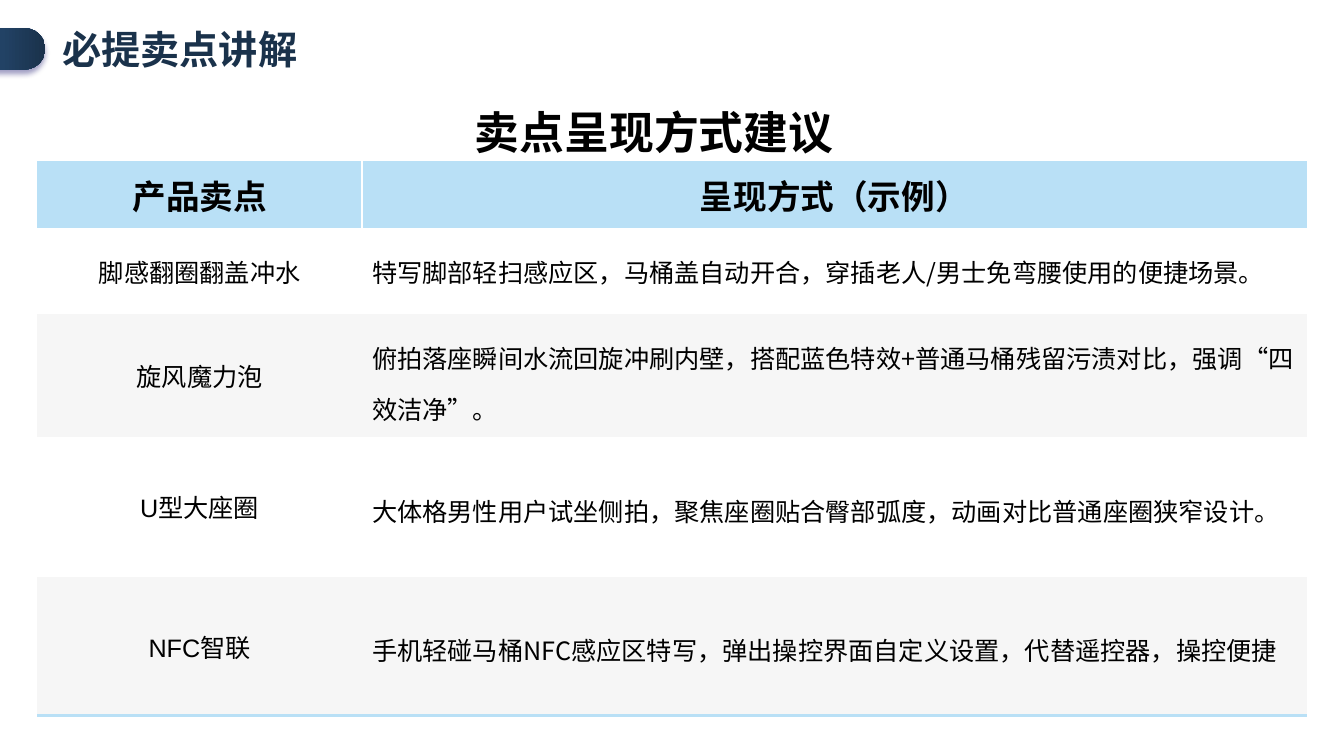
from dataclasses import dataclass

from lxml import etree
from pptx import Presentation
from pptx.dml.color import RGBColor
from pptx.enum.shapes import MSO_SHAPE
from pptx.enum.text import MSO_ANCHOR, MSO_AUTO_SIZE, PP_ALIGN
from pptx.oxml import parse_xml
from pptx.oxml.ns import nsdecls, qn
from pptx.util import Inches, Pt

LEFT, CENTER = PP_ALIGN.LEFT, PP_ALIGN.CENTER
MIDDLE = MSO_ANCHOR.MIDDLE
GROW = MSO_AUTO_SIZE.SHAPE_TO_FIT_TEXT
PILL = MSO_SHAPE.ROUNDED_RECTANGLE
PLAIN = "{2D5ABB26-0587-4C30-8999-92F81FD0307C}"  # table style without grid


@dataclass(frozen=True)
class Theme:
    sans: str = "Arial"
    han: str = "Noto Sans CJK SC"
    black: str = "000000"
    white: str = "FFFFFF"
    navy: str = "1A324B"
    sky: str = "B9E0F6"
    gray: str = "F6F6F6"
    glow: str = "120D69"
    fade: tuple = ((19, "29517E"), (49, "224265"), (100, "1A324B"))
    title: int = 32
    topic: int = 28
    head: int = 24
    body: int = 18


def write(frame, text, *, size, color, font, han, bold=False, align=LEFT, line=None):
    """Put one formatted paragraph into a text frame."""
    para = frame.paragraphs[0]
    para.alignment = align
    if line:
        para.line_spacing = line
    run = para.add_run()
    run.text = text
    face = run.font
    face.size, face.bold, face.name = Pt(size), bold, font
    face.color.rgb = RGBColor.from_string(color)
    etree.SubElement(run._r.get_or_add_rPr(), qn("a:ea")).set("typeface", han)


class Deck:
    def __init__(self, theme):
        self.theme = theme
        self.prs = Presentation()
        self.prs.slide_width, self.prs.slide_height = Inches(13.33), Inches(7.5)
        self.slide = self.prs.slides.add_slide(self.prs.slide_layouts[6])

    def label(self, box, text, side=0.1, **style):
        shape = self.slide.shapes.add_textbox(*map(Inches, box))
        frame = shape.text_frame
        frame.word_wrap = True
        frame.auto_size = GROW
        frame.margin_left = frame.margin_right = Inches(side)
        write(frame, text, han=self.theme.han, **style)

    def pill(self, box):
        shape = self.slide.shapes.add_shape(PILL, *map(Inches, box))
        shape.adjustments[0] = 0.5
        shape.line.fill.background()
        shape.fill.gradient()
        shape.fill.gradient_angle = 0
        props = shape._element.spPr
        # Gradient stops
        stops = props.find(qn("a:gradFill")).find(qn("a:gsLst"))
        for stop in list(stops):
            stops.remove(stop)
        for place, color in self.theme.fade:
            stops.append(parse_xml(
                f'<a:gs {nsdecls("a")} pos="{place * 1000}">'
                f'<a:srgbClr val="{color}"/></a:gs>'))
        # Soft shadow below
        shape.shadow.inherit = False
        props.find(qn("a:effectLst")).append(parse_xml(
            f'<a:outerShdw {nsdecls("a")} blurRad="{Pt(4)}" dist="{Pt(3)}" '
            f'dir="5400000" algn="t" rotWithShape="0">'
            f'<a:srgbClr val="{self.theme.glow}"><a:alpha val="40000"/>'
            f'</a:srgbClr></a:outerShdw>'))

    def border(self, cell, side, color, width):
        cell._tc.get_or_add_tcPr().insert(0, parse_xml(
            f'<a:ln{side} {nsdecls("a")} w="{Pt(width)}"><a:solidFill>'
            f'<a:srgbClr val="{color}"/></a:solidFill></a:ln{side}>'))

    def table(self, box, rows, widths, heights, lines):
        look = self.theme
        frame = self.slide.shapes.add_table(len(rows), len(widths), *map(Inches, box))
        grid = frame.table
        grid.first_row = grid.horz_banding = False
        grid._tbl.tblPr.find(qn("a:tableStyleId")).text = PLAIN
        for col, width in zip(grid.columns, widths):
            col.width = Inches(width)
        for r, (row, height) in enumerate(zip(rows, heights)):
            grid.rows[r].height = Inches(height)
            band = (look.gray, look.white)[r % 2] if r else look.sky
            for c, text in enumerate(row):
                cell = grid.cell(r, c)
                cell.vertical_anchor = MIDDLE
                cell.fill.solid()
                cell.fill.fore_color.rgb = RGBColor.from_string(band)
                prose = r > 0 and c == 1
                write(cell.text_frame, text,
                      size=look.body if r else look.head, bold=r == 0,
                      color=look.black, font=look.han if prose else look.sans,
                      han=look.han, align=LEFT if prose else CENTER,
                      line=lines[r] if prose else None)
        # Header divider and closing rule
        self.border(grid.cell(0, 0), "R", look.white, 1)
        self.border(grid.cell(0, 1), "L", look.white, 1)
        for c in range(len(widths)):
            self.border(grid.cell(len(rows) - 1, c), "B", look.sky, 3)


ROWS = [
    ("产品卖点", "呈现方式（示例）"),
    ("脚感翻圈翻盖冲水", "特写脚部轻扫感应区，马桶盖自动开合，穿插老人/男士免弯腰使用的便捷场景。"),
    ("旋风魔力泡", "俯拍落座瞬间水流回旋冲刷内壁，搭配蓝色特效+普通马桶残留污渍对比，强调“四效洁净”。"),
    ("U型大座圈", "大体格男性用户试坐侧拍，聚焦座圈贴合臀部弧度，动画对比普通座圈狭窄设计。"),
    ("NFC智联", "手机轻碰马桶NFC感应区特写，弹出操控界面自定义设置，代替遥控器，操控便捷"),
]


def main():
    look = Theme()
    deck = Deck(look)
    # Table title
    deck.label((4.27, 0.78, 4.44, 0.85), "卖点呈现方式建议", side=0, size=look.title,
               color=look.black, font=look.sans, bold=True, align=CENTER, line=1.4)
    # Selling points
    deck.table((0.37, 1.6, 12.6, 5.5), ROWS, widths=(3.22, 9.37),
               heights=(0.66, 0.86, 1.22, 1.38, 1.38),
               lines=(None, None, 1.4, 1.2, 1.2))
    # Page heading
    deck.pill((-0.39, 0.28, 0.84, 0.41))
    deck.label((0.52, 0.2, 9.34, 0.57), "必提卖点讲解", size=look.topic,
               color=look.navy, font=look.sans, bold=True)
    deck.prs.save("out.pptx")


if __name__ == "__main__":
    main()
